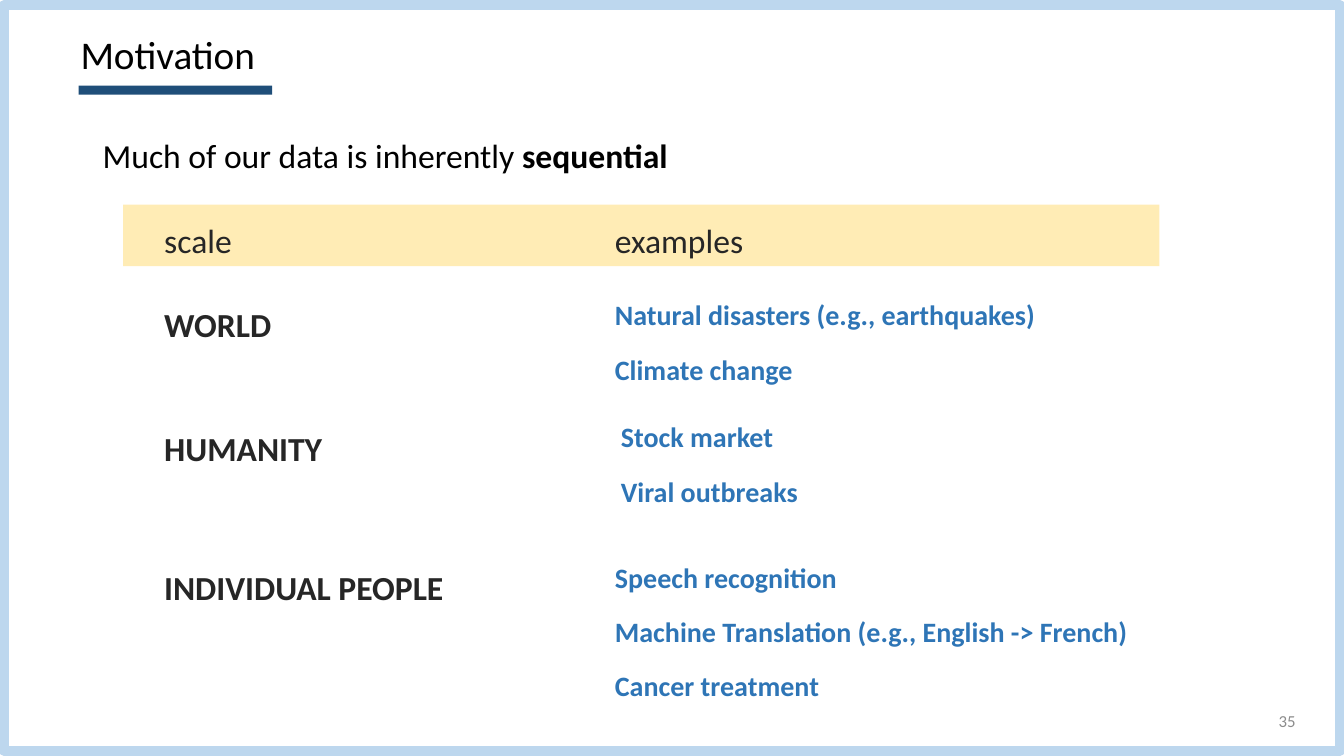
from lxml import etree
from pptx import Presentation
from pptx.dml.color import RGBColor
from pptx.enum import shapes, text
from pptx.oxml.ns import qn
from pptx.util import Inches, Pt

BLACK, DARK, BLUE = "000000", "262626", "2E75B6"
LEFT_COL, RIGHT_COL = 1.53, 6


def rgb(value):
    return RGBColor.from_string(value)


class SlideBuilder:
    font = "Calibri"

    def __init__(self, prs):
        self.s = prs.slides.add_slide(prs.slide_layouts[6])

    def rect(self, x, y, w, h, fill, line=None, line_width=0, alpha=None):
        """Add a rectangle; alpha is its opacity in percent."""
        sp = self.s.shapes.add_shape(shapes.MSO_SHAPE.RECTANGLE,
                                     Inches(x), Inches(y), Inches(w), Inches(h))
        sp.shadow.inherit = False
        sp.fill.solid()
        sp.fill.fore_color.rgb = rgb(fill)
        if alpha is not None:
            color = sp.fill._xPr.find(qn("a:solidFill"))[0]
            etree.SubElement(color, qn("a:alpha"), val=str(alpha * 1000))
        if line:
            sp.line.color.rgb = rgb(line)
            sp.line.width = Pt(line_width)
        else:
            sp.line.fill.background()

    def text(self, x, y, w, h, paragraphs, size=24, color=DARK, bold=False,
             spacing=1.5, before=10, align=text.PP_ALIGN.LEFT,
             anchor=text.MSO_ANCHOR.TOP):
        """Add a text box and return its text frame."""
        tf = self.s.shapes.add_textbox(
            Inches(x), Inches(y), Inches(w), Inches(h)).text_frame
        tf.word_wrap = True
        tf.vertical_anchor = anchor
        tf.text = "\n".join(paragraphs)
        for p in tf.paragraphs:
            p.alignment = align
            p.line_spacing = spacing
            p.space_before = Pt(before)
            for r in p.runs:
                self.style(r, size, color, bold)
        return tf

    def style(self, r, size, color, bold):
        r.font.name = self.font
        r.font.size = Pt(size)
        r.font.color.rgb = rgb(color)
        r.font.bold = bold

    def label(self, x, y, w, wording, bold=False):
        self.text(x, y, w, 0.79, [wording], bold=bold)

    def examples(self, x, y, w, h, items):
        self.text(x, y, w, h, items, size=20, color=BLUE, bold=True, spacing=1.2)


def main():
    prs = Presentation()
    prs.slide_width, prs.slide_height = Inches(13.33), Inches(7.5)
    b = SlideBuilder(prs)

    b.rect(0.04, 0.05, 13.25, 7.4, "FFFFFF", line="BDD7EE", line_width=7)
    b.text(0.7, 0.3, 9.78, 1.27, ["Motivation"], size=28, color=BLACK,
           spacing=0.9, before=0)
    b.text(9.95, 6.95, 3, 0.4, ["35"], size=12, color="8C8C8C", spacing=1,
           before=0, align=text.PP_ALIGN.RIGHT, anchor=text.MSO_ANCHOR.MIDDLE)
    b.rect(0.78, 0.85, 1.92, 0.09, "1F4E79")
    b.rect(1.22, 2.03, 10.28, 0.61, "FFE699", alpha=72)

    tf = b.text(0.92, 1.09, 11.5, 0.96, ["Much of our data is inherently "],
                color=BLACK)
    r = tf.paragraphs[0].add_run()
    r.text = "sequential"
    b.style(r, 24, BLACK, True)

    for x, heading in ((LEFT_COL, "scale"), (RIGHT_COL, "examples")):
        b.label(x, 1.93, 3.15, heading)

    # scale, its top and width, then the box of its examples
    rows = [
        ("WORLD", 2.77, 3.15, (RIGHT_COL, 2.84, 5.18, 1.06),
         ["Natural disasters (e.g., earthquakes)", "Climate change"]),
        ("HUMANITY", 4, 3.15, (6.06, 4.05, 5.18, 1.06),
         ["Stock market", "Viral outbreaks"]),
        ("INDIVIDUAL PEOPLE", 5.37, 3.9, (RIGHT_COL, 5.44, 5.68, 1.61),
         ["Speech recognition", "Machine Translation (e.g., English -> French)",
          "Cancer treatment"]),
    ]
    for scale, y, w, box, items in rows:
        b.label(LEFT_COL, y, w, scale, bold=True)
        b.examples(*box, items)

    prs.save("out.pptx")


if __name__ == "__main__":
    main()
